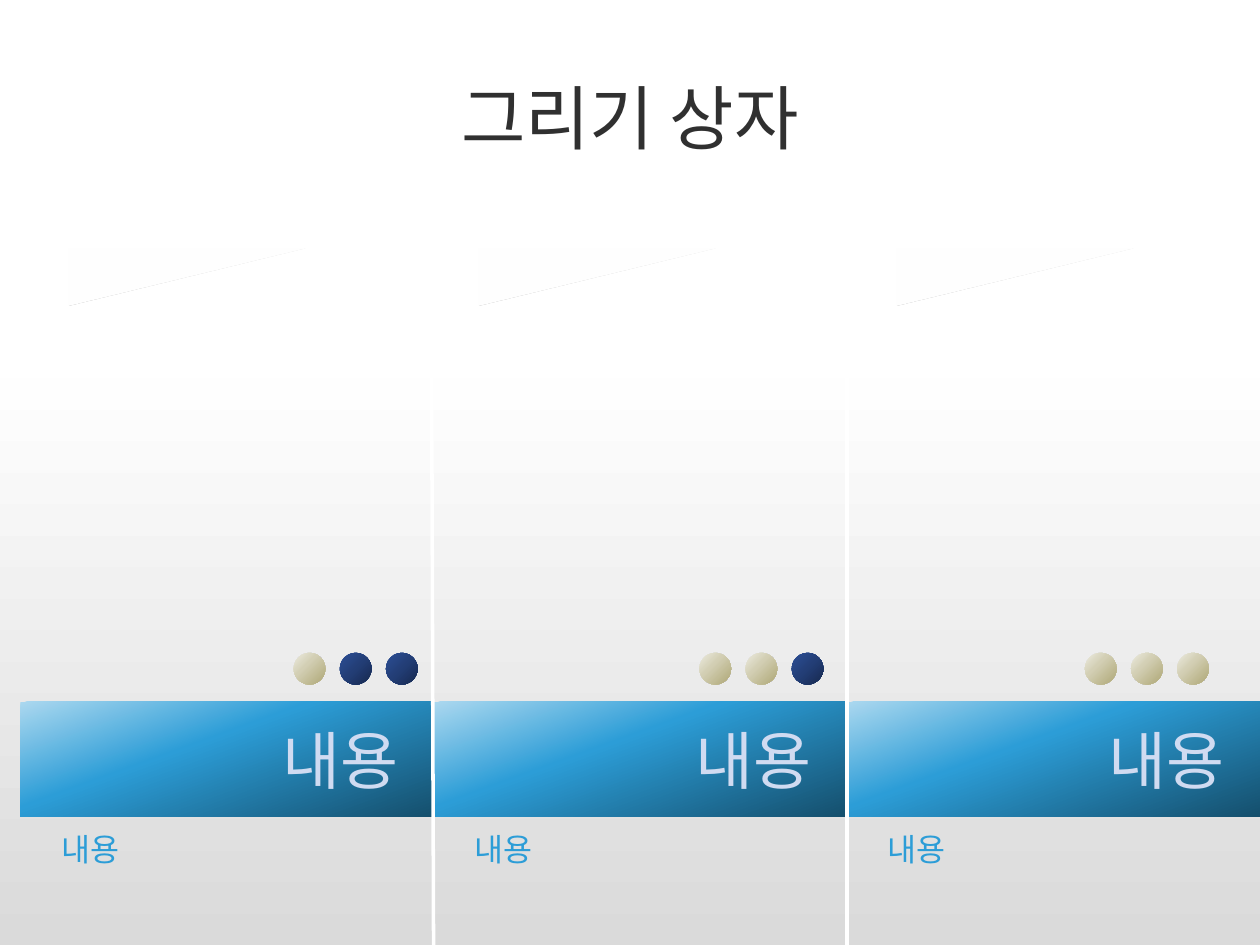
from typing import NamedTuple

from lxml.etree import SubElement
from pptx import Presentation
from pptx.dml.color import RGBColor
from pptx.enum.shapes import MSO_CONNECTOR as Connector, MSO_SHAPE as Shape
from pptx.enum.text import MSO_ANCHOR as Anchor, MSO_AUTO_SIZE as AutoSize, PP_ALIGN as Align
from pptx.oxml.ns import qn
from pptx.util import Cm, Pt

FONT = "Arial"
COLORS = {
    "title": "303030",
    "bar_text": "D0DBF1",
    "caption": "2C9DD7",
    "divider": "FFFFFF",
}


class Stop(NamedTuple):
    position: int
    color: str
    opacity: int = 100


class Gradient(NamedTuple):
    angle: int
    stops: tuple[Stop, ...]


class Column(NamedTuple):
    label: str
    caption: str
    dots_left: float
    light_dots: int
    triangle_left: float


class Divider(NamedTuple):
    bottom_x: float
    top_x: float


BACKGROUND = Gradient(90, (Stop(0, "FFFFFF"), Stop(40, "FEFEFE"), Stop(100, "DADADA")))
BAR = Gradient(70, (Stop(0, "ABD8EF"), Stop(40, "2C9DD7"), Stop(100, "154F6D")))
LIGHT_DOT = Gradient(45, (Stop(0, "EDECE1"), Stop(40, "D3CFB4"), Stop(100, "AFA876")))
DARK_DOT = Gradient(45, (Stop(0, "2C4F96"), Stop(50, "233E76"), Stop(100, "17294F")))
GLOSS = Gradient(90, (Stop(0, "FFFFFF", 15), Stop(50, "FFFFFF", 30), Stop(100, "FFFFFF", 50)))

COLUMNS = (
    Column("내용", "내용", 5.92, 1, 3.2),
    Column("내용", "내용", 14.1, 2, 11.46),
    Column("내용", "내용", 21.87, 3, 19.89),
)
DIVIDERS = (Divider(8.74, 8.69), Divider(17.07, 17.07))
FIRST_LEFT, COLUMN_WIDTH = 0.41, 8.33
DOT_COUNT, DOT_SIZE, DOT_PITCH = 3, 0.64, 0.93


def apply_gradient(fill, element, gradient: Gradient) -> None:
    """Set a gradient with any number of stops, each with its own opacity."""
    fill.gradient()
    gradient_fill = element.find(".//" + qn("a:gradFill"))
    stop_list = gradient_fill.find(qn("a:gsLst"))
    for old_stop in list(stop_list):
        stop_list.remove(old_stop)
    for stop in gradient.stops:
        entry = SubElement(stop_list, qn("a:gs"), pos=str(stop.position * 1000))
        color = SubElement(entry, qn("a:srgbClr"), val=stop.color)
        if stop.opacity < 100:
            SubElement(color, qn("a:alpha"), val=str(stop.opacity * 1000))
    direction = gradient_fill.find(qn("a:lin"))
    direction.set("ang", str(gradient.angle * 60000))
    direction.set("scaled", "0")


def add_gradient_shape(slide, kind: Shape, left: float, top: float,
                       width: float, height: float, gradient: Gradient):
    shape = slide.shapes.add_shape(kind, Cm(left), Cm(top), Cm(width), Cm(height))
    shape.shadow.inherit = False
    shape.line.fill.background()
    apply_gradient(shape.fill, shape.element, gradient)
    return shape


def write_text(shape, text: str, size: int, color: str, align: Align, anchor: Anchor) -> None:
    frame = shape.text_frame
    frame.word_wrap = True
    frame.vertical_anchor = anchor
    paragraph = frame.paragraphs[0]
    paragraph.alignment = align
    run = paragraph.add_run()
    run.text = text
    run.font.name = FONT
    run.font.size = Pt(size)
    run.font.color.rgb = RGBColor.from_string(COLORS[color])


def add_title(slide, text: str) -> None:
    box = slide.shapes.add_textbox(Cm(1.27), Cm(0.76), Cm(22.86), Cm(3.18))
    write_text(box, text, 40, "title", Align.CENTER, Anchor.MIDDLE)


def add_bar(slide, left: float, label: str) -> None:
    bar = add_gradient_shape(slide, Shape.RECTANGLE, left, 14.15, COLUMN_WIDTH, 2.31, BAR)
    bar.text_frame.margin_right = Cm(0.71)
    write_text(bar, label, 36, "bar_text", Align.RIGHT, Anchor.MIDDLE)


def add_caption(slide, left: float, caption: str) -> None:
    box = slide.shapes.add_textbox(Cm(left + 0.58), Cm(16.61), Cm(7.14), Cm(1.8))
    write_text(box, caption, 18, "caption", Align.LEFT, Anchor.TOP)
    box.text_frame.auto_size = AutoSize.SHAPE_TO_FIT_TEXT


def add_divider(slide, divider: Divider) -> None:
    line = slide.shapes.add_connector(
        Connector.STRAIGHT, Cm(divider.bottom_x), Cm(19.05), Cm(divider.top_x), Cm(4.04))
    line.line.color.rgb = RGBColor.from_string(COLORS["divider"])
    line.line.width = Pt(2)
    SubElement(line.element.spPr, qn("a:effectLst"))


def add_dots(slide, column: Column) -> None:
    for index in range(DOT_COUNT):
        gradient = LIGHT_DOT if index < column.light_dots else DARK_DOT
        add_gradient_shape(slide, Shape.OVAL, column.dots_left + index * DOT_PITCH, 13.16,
                           DOT_SIZE, DOT_SIZE, gradient)


def add_gloss(slide, left: float) -> None:
    triangle = add_gradient_shape(slide, Shape.RIGHT_TRIANGLE, left, 3.2, 1.14, 4.78, GLOSS)
    triangle.rotation = 90


def main() -> None:
    presentation = Presentation()
    presentation.slide_width, presentation.slide_height = Cm(25.4), Cm(19.05)
    slide = presentation.slides.add_slide(presentation.slide_layouts[6])
    apply_gradient(slide.background.fill, slide.element, BACKGROUND)

    add_title(slide, "그리기 상자")
    lefts = [FIRST_LEFT + index * COLUMN_WIDTH for index in range(len(COLUMNS))]
    for left, column in zip(lefts, COLUMNS):
        add_bar(slide, left, column.label)
    for divider in DIVIDERS:
        add_divider(slide, divider)
    for left, column in zip(lefts, COLUMNS):
        add_caption(slide, left, column.caption)
        add_dots(slide, column)
        add_gloss(slide, column.triangle_left)

    presentation.save("out.pptx")


if __name__ == "__main__":
    main()
